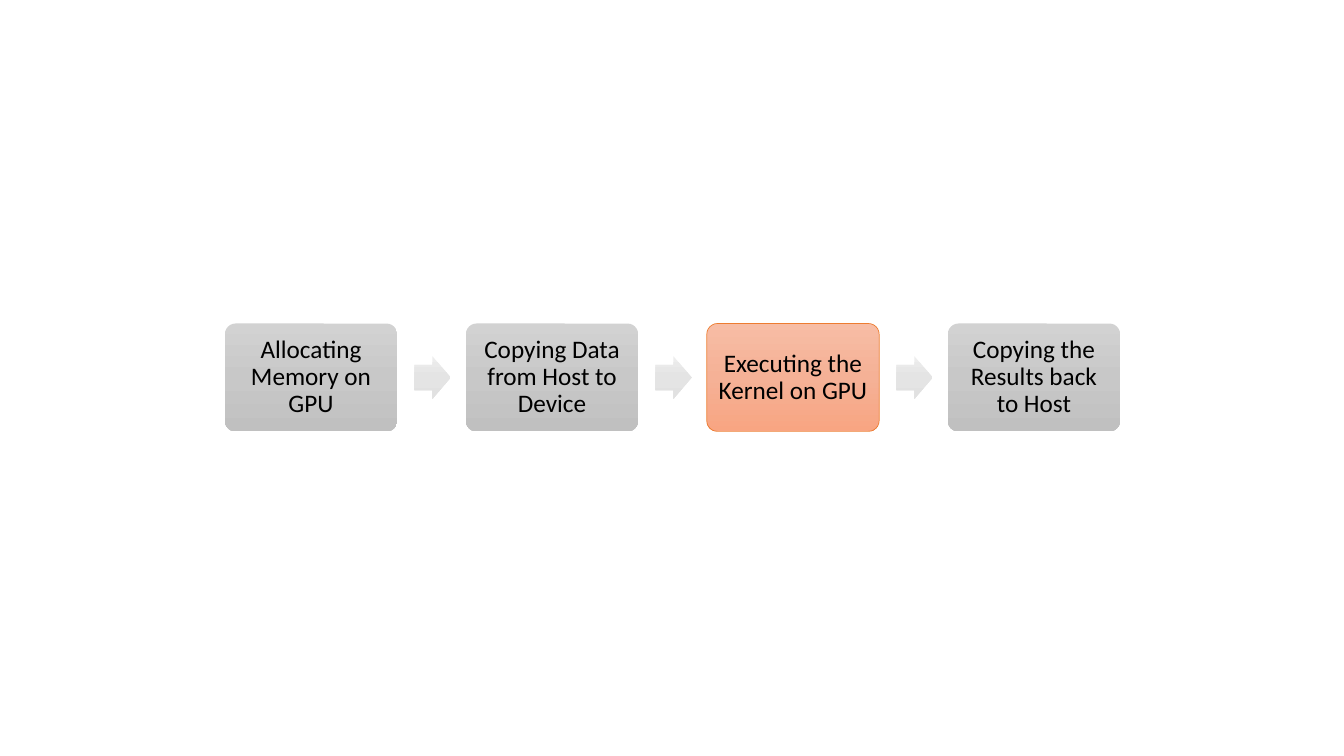
from copy import deepcopy

from pptx import Presentation
from pptx.dml.color import RGBColor
from pptx.enum import shapes, text
from pptx.oxml.ns import qn
from pptx.util import Inches, Pt

BLACK = RGBColor(0x00, 0x00, 0x00)
ORANGE = RGBColor(0xED, 0x7D, 0x31)
STEP_GREYS = [RGBColor(0xD2, 0xD2, 0xD2), RGBColor(0xC8, 0xC8, 0xC8), RGBColor(0xC0, 0xC0, 0xC0)]
ARROW_GREYS = [RGBColor(0xED, 0xED, 0xED), RGBColor(0xE4, 0xE4, 0xE4), RGBColor(0xE1, 0xE1, 0xE1)]
ACTIVE_ORANGES = [RGBColor(0xF7, 0xBD, 0xA5), RGBColor(0xF5, 0xB1, 0x96), RGBColor(0xF8, 0xA5, 0x82)]

STEPS = [
    "Allocating Memory on GPU",
    "Copying Data from Host to Device",
    "Executing the Kernel on GPU",
    "Copying the Results back to Host",
]
ACTIVE_STEP = 2
STEP_WIDTH = 1.71
ARROW_OFFSET, ARROW_WIDTH, ARROW_HEIGHT = 1.88, 0.36, 0.42


def fill_gradient(shape, colors):
    """Fill a shape with three evenly spaced colours from top to bottom."""
    shape.fill.gradient()
    shape.fill.gradient_angle = 270
    first_stop = shape.element.spPr.find(".//" + qn("a:gs"))
    first_stop.addnext(deepcopy(first_stop))
    for index, (stop, color) in enumerate(zip(shape.fill.gradient_stops, colors)):
        stop.position = index / 2
        stop.color.rgb = color


def add_gradient_shape(slide, preset, box, adjustments, colors, outline=None):
    """Add a preset shape with a gradient and an optional thin outline."""
    shape = slide.shapes.add_shape(preset, *[Inches(length) for length in box])
    shape.shadow.inherit = False
    for index, value in enumerate(adjustments):
        shape.adjustments[index] = value
    fill_gradient(shape, colors)
    if outline is None:
        shape.line.fill.background()
    else:
        shape.line.color.rgb = outline
        shape.line.width = Pt(0.5)
    return shape


def write_text(shape, wording, font="Calibri", size=18, color=BLACK, inset=0.07, spacing=0.9):
    """Write centred, wrapped text inside a shape."""
    frame = shape.text_frame
    frame.word_wrap = True
    frame.vertical_anchor = text.MSO_ANCHOR.MIDDLE
    frame.margin_left = frame.margin_right = Inches(inset)
    frame.margin_top = frame.margin_bottom = Inches(inset)
    paragraph = frame.paragraphs[0]
    paragraph.alignment = text.PP_ALIGN.CENTER
    paragraph.line_spacing = spacing
    run = paragraph.add_run()
    run.text = wording
    run.font.name = font
    run.font.size = Pt(size)
    run.font.color.rgb = color


def add_process(slide, left, top, width, height):
    """Lay the steps out across the box, with an arrow between neighbours."""
    pitch = (width - STEP_WIDTH) / (len(STEPS) - 1)
    arrow_top = top + (height - ARROW_HEIGHT) / 2
    for index, wording in enumerate(STEPS):
        step_left = left + index * pitch
        active = index == ACTIVE_STEP
        step = add_gradient_shape(
            slide, shapes.MSO_SHAPE.ROUNDED_RECTANGLE,
            (step_left, top, STEP_WIDTH, height), [0.1],
            ACTIVE_ORANGES if active else STEP_GREYS,
            ORANGE if active else None)
        write_text(step, wording)
        if index < len(STEPS) - 1:
            add_gradient_shape(
                slide, shapes.MSO_SHAPE.RIGHT_ARROW,
                (step_left + ARROW_OFFSET, arrow_top, ARROW_WIDTH, ARROW_HEIGHT),
                [0.6, 0.5], ARROW_GREYS)


presentation = Presentation()
presentation.slide_width = Inches(13.33)
presentation.slide_height = Inches(7.5)
kernel_slide = presentation.slides.add_slide(presentation.slide_layouts[6])
add_process(kernel_slide, 2.23, 3.21, 8.88, 1.07)
presentation.save("out.pptx")
